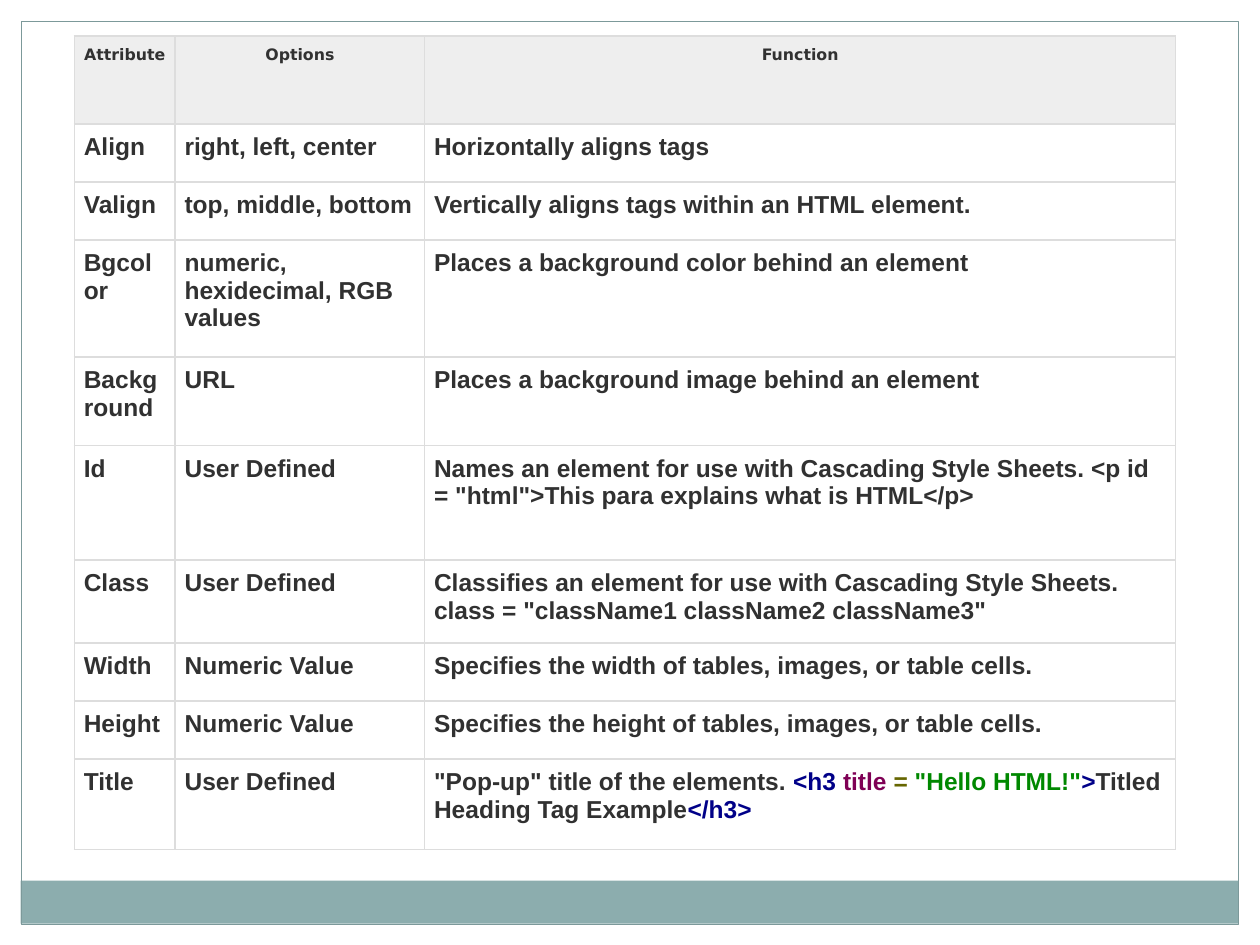
"""Build a slide with a table of common HTML attributes."""
from lxml.etree import SubElement
from pptx import Presentation
from pptx.dml.color import RGBColor
from pptx.enum.shapes import MSO_SHAPE
from pptx.enum.text import PP_ALIGN
from pptx.oxml.ns import qn
from pptx.util import Inches, Pt

WHITE = RGBColor(0xFF, 0xFF, 0xFF)
TEAL = RGBColor(0x8C, 0xAD, 0xAE)
EDGE = RGBColor(0x7C, 0x99, 0x9A)
GRAY = RGBColor(0xEE, 0xEE, 0xEE)
RULE = RGBColor(0xDD, 0xDD, 0xDD)
INK = RGBColor(0x31, 0x31, 0x31)
NAVY = RGBColor(0x00, 0x00, 0x88)
PLUM = RGBColor(0x7F, 0x00, 0x55)
OLIVE = RGBColor(0x66, 0x66, 0x00)
GREEN = RGBColor(0x00, 0x88, 0x00)

PANELS = [
    ((0, 0, 1000, 17), WHITE, None),
    ((983, 0, 17, 750), WHITE, None),
    ((0, 0, 17, 750), WHITE, None),
    ((16.5, 699, 966, 34), TEAL, None),
    ((17, 17, 966, 716.5), None, EDGE),
]
COLS = [80, 198, 596]
ROWS = [70, 46, 46, 93, 70, 91, 66, 46, 46, 72]
SAMPLE = [
    ('"Pop-up" title of the elements. ', INK),
    ("<h3 ", NAVY),
    ("title ", PLUM),
    ("= ", OLIVE),
    ('"Hello HTML!"', GREEN),
    (">", NAVY),
    ("Titled Heading Tag Example", INK),
    ("</h3>", NAVY),
]
DATA = [
    ("Attribute", "Options", "Function"),
    ("Align", "right, left, center", "Horizontally aligns tags"),
    ("Valign", "top, middle, bottom",
     "Vertically aligns tags within an HTML element."),
    ("Bgcolor", "numeric, hexidecimal, RGB values",
     "Places a background color behind an element"),
    ("Background", "URL", "Places a background image behind an element"),
    ("Id", "User Defined",
     "Names an element for use with Cascading Style Sheets. "
     '<p id = "html">This para explains what is HTML</p>'),
    ("Class", "User Defined",
     "Classifies an element for use with Cascading Style Sheets. "
     'class = "className1 className2 className3"'),
    ("Width", "Numeric Value",
     "Specifies the width of tables, images, or table cells."),
    ("Height", "Numeric Value",
     "Specifies the height of tables, images, or table cells."),
    ("Title", "User Defined", SAMPLE),
]


def add_rules(cell):
    """Draw a thin rule on each side of a cell."""
    props = cell._tc.get_or_add_tcPr()
    for side in ("lnL", "lnR", "lnT", "lnB"):
        line = SubElement(props, qn(f"a:{side}"), w=str(Pt(1)))
        fill = SubElement(line, qn("a:solidFill"))
        SubElement(fill, qn("a:srgbClr"), val=str(RULE))


def paint(fill, color):
    """Fill with a colour, or leave clear."""
    if color is None:
        fill.background()
    else:
        fill.solid()
        fill.fore_color.rgb = color


deck = Presentation()
deck.slide_width, deck.slide_height = Inches(10), Inches(7.5)
unit = deck.slide_width // 1000
slide = deck.slides.add_slide(deck.slide_layouts[6])
paint(slide.background.fill, WHITE)

for box, color, edge in PANELS:
    panel = slide.shapes.add_shape(
        MSO_SHAPE.RECTANGLE, *[int(unit * n) for n in box])
    panel.shadow.inherit = False
    paint(panel.fill, color)
    paint(panel.line.fill, edge)
    panel.line.width = Pt(0.75)

table = slide.shapes.add_table(
    len(ROWS), len(COLS), unit * 59, int(unit * 28.5),
    unit * sum(COLS), unit * sum(ROWS)).table
table.first_row = table.horz_banding = False
for col, width in zip(table.columns, COLS):
    col.width = unit * width
for row, height in zip(table.rows, ROWS):
    row.height = unit * height

pad = Pt(5.4)
for r, line in enumerate(DATA):
    head = r == 0
    for c, value in enumerate(line):
        cell = table.cell(r, c)
        cell.margin_left = cell.margin_right = pad
        cell.margin_top = cell.margin_bottom = pad
        add_rules(cell)
        paint(cell.fill, GRAY if head else None)
        para = cell.text_frame.paragraphs[0]
        para.alignment = PP_ALIGN.CENTER if head else PP_ALIGN.LEFT
        parts = [(value, INK)] if isinstance(value, str) else value
        for text, color in parts:
            run = para.add_run()
            run.text = text
            run.font.name = "DejaVu Sans" if head else "Arial"
            run.font.size = Pt(9 if head else 14)
            run.font.bold = True
            run.font.color.rgb = color

deck.save("out.pptx")
